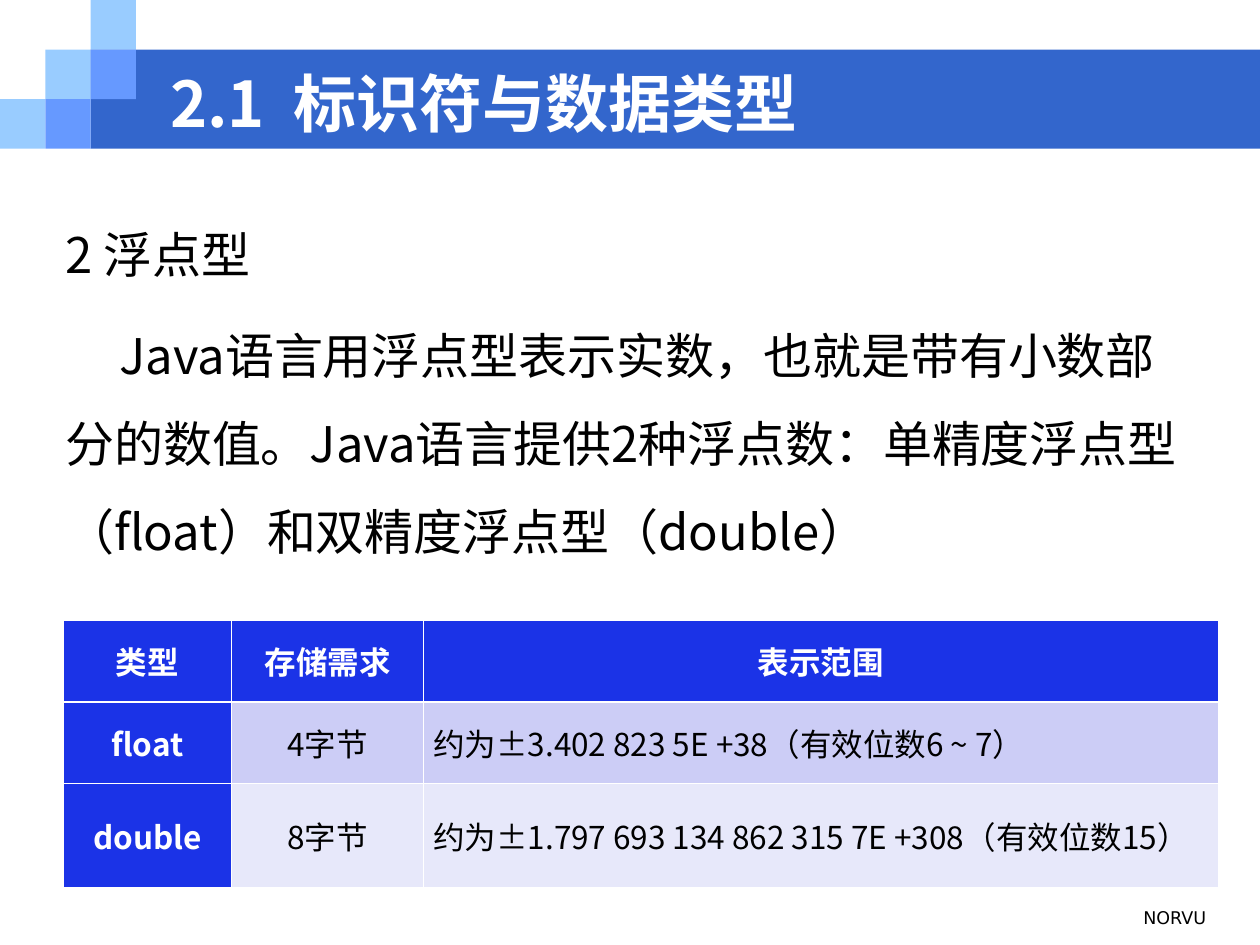
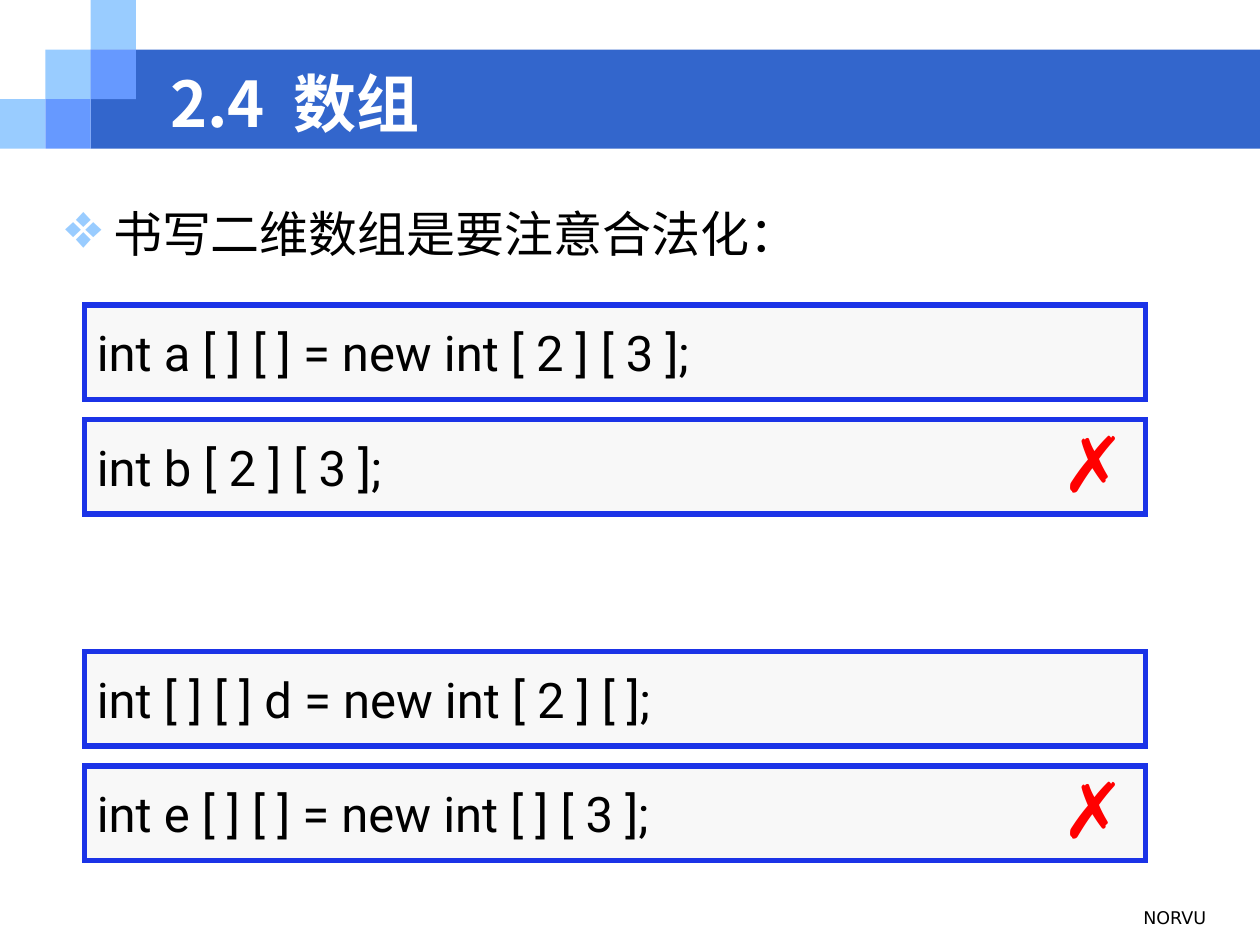
from dataclasses import dataclass

from lxml import etree
from pptx import Presentation
from pptx.dml.color import RGBColor
from pptx.enum.shapes import MSO_SHAPE
from pptx.enum.text import MSO_ANCHOR, PP_ALIGN
from pptx.oxml.ns import qn
from pptx.util import Inches, Pt

RECTANGLE = MSO_SHAPE.RECTANGLE
TOP, MIDDLE = MSO_ANCHOR.TOP, MSO_ANCHOR.MIDDLE
LEFT, CENTER, RIGHT, JUSTIFY = PP_ALIGN.LEFT, PP_ALIGN.CENTER, PP_ALIGN.RIGHT, PP_ALIGN.JUSTIFY
TITLE_ONLY = 5


@dataclass(frozen=True)
class Theme:
    band: str = "3366CC"
    light_tile: str = "99CCFF"
    middle_tile: str = "6699FF"
    accent: str = "1B33E7"
    row_tints: tuple = ("CCCDF6", "E7E8FA")
    code_fill: str = "F8F8F8"
    white: str = "FFFFFF"
    black: str = "000000"
    wrong: str = "FF0000"
    text_font: str = "Noto Sans CJK SC"
    code_font: str = "Roboto"
    footer_font: str = "DejaVu Sans"
    mark_font: str = "Arial"
    title_size: int = 36
    body_size: int = 28
    table_size: int = 18
    footer_size: int = 10
    mark_size: int = 44


THEME = Theme()


def rgb(value):
    return RGBColor.from_string(value)


def write(frame, text, *, size=THEME.body_size, font=THEME.text_font, color=THEME.black,
          bold=False, align=LEFT, anchor=TOP, wrap=True, line_spacing=None,
          space_before=0, first_indent=0, bullet=None, new_para=False):
    frame.word_wrap = wrap
    frame.vertical_anchor = anchor
    para = frame.add_paragraph() if new_para else frame.paragraphs[0]
    para.alignment = align
    para.space_before = Pt(space_before)
    if line_spacing:
        para.line_spacing = line_spacing
    props = para._p.get_or_add_pPr()
    if first_indent:
        props.set("indent", str(Inches(first_indent)))
    if bullet:
        props.set("marL", str(Inches(0.38)))
        props.set("indent", str(Inches(-0.38)))
        bullet_color = etree.SubElement(props, qn("a:buClr"))
        etree.SubElement(bullet_color, qn("a:srgbClr"), val=THEME.light_tile)
        etree.SubElement(props, qn("a:buSzPct"), val="130000")
        etree.SubElement(props, qn("a:buChar"), char=bullet)
    span = para.add_run()
    span.text = text
    span.font.size = Pt(size)
    span.font.name = font
    span.font.bold = bold
    span.font.color.rgb = rgb(color)
    etree.SubElement(span._r.get_or_add_rPr(), qn("a:ea"), typeface=font)


def add_box(page, box, fill, line=None, line_width=3):
    shape = page.shapes.add_shape(RECTANGLE, *map(Inches, box))
    shape.shadow.inherit = False
    shape.fill.solid()
    shape.fill.fore_color.rgb = rgb(fill)
    if line:
        shape.line.color.rgb = rgb(line)
        shape.line.width = Pt(line_width)
        outline = shape.element.spPr.find(qn("a:ln"))
        etree.SubElement(outline, qn("a:miter"), lim="800000")
    else:
        shape.line.fill.background()
    return shape


def add_text(page, box, text, **text_format):
    frame = page.shapes.add_textbox(*map(Inches, box)).text_frame
    write(frame, text, **text_format)
    return frame


def add_header(page, box, title):
    left, top, width, height = box
    tile_width, tile_height = 0.36, height / 3
    band_left, band_top = left + 2 * tile_width, top + tile_height
    add_box(page, (band_left, band_top, width - 2 * tile_width, 2 * tile_height), THEME.band)
    tiles = {
        THEME.light_tile: ((0, 2), (1, 1), (2, 0)),
        THEME.middle_tile: ((2, 1), (1, 2)),
    }
    for color, places in tiles.items():
        for column, row in places:
            add_box(page, (left + column * tile_width, top + row * tile_height,
                           tile_width, tile_height), color)
    holder = page.shapes.title
    holder.left, holder.top = Inches(left + 1.25), Inches(top + 0.55)
    holder.width, holder.height = Inches(8.08), Inches(0.53)
    write(holder.text_frame, title, size=THEME.title_size, color=THEME.white,
          bold=True, anchor=MIDDLE)
    page.shapes.element.append(holder.element)


def add_page(deck, title):
    page = deck.slides.add_slide(deck.slide_layouts[TITLE_ONLY])
    add_header(page, (0, 0, 10, 1.18), title)
    add_text(page, (6.5, 7.15, 3.17, 0.35), "NORVU", size=THEME.footer_size,
             font=THEME.footer_font, align=RIGHT)
    return page


def set_borders(cell, **widths):
    props = cell._tc.get_or_add_tcPr()
    for side in "LRTB":
        line = etree.SubElement(props, qn(f"a:ln{side}"), w=str(Pt(widths.get(side, 0.45))))
        fill = etree.SubElement(line, qn("a:solidFill"))
        etree.SubElement(fill, qn("a:srgbClr"), val=THEME.white)


def add_type_table(page, box, column_widths, row_heights, rows):
    table = page.shapes.add_table(len(rows), len(column_widths), *map(Inches, box)).table
    for column, width in zip(table.columns, column_widths):
        column.width = Inches(width)
    for row_index, values in enumerate(rows):
        table.rows[row_index].height = Inches(row_heights[row_index])
        for column_index, value in enumerate(values):
            cell = table.cell(row_index, column_index)
            heading = row_index == 0 or column_index == 0
            rule = {0: {"B": 1.47}, 1: {"T": 1.47}}.get(row_index, {})
            set_borders(cell, **rule)
            cell.fill.solid()
            cell.fill.fore_color.rgb = rgb(
                THEME.accent if heading else THEME.row_tints[row_index - 1])
            cell.margin_left = cell.margin_right = Inches(0.08)
            cell.vertical_anchor = MIDDLE
            write(cell.text_frame, value, size=THEME.table_size, bold=heading,
                  color=THEME.white if heading else THEME.black, anchor=MIDDLE,
                  align=CENTER if heading or column_index < 2 else JUSTIFY)


def add_code_line(page, box, code, wrong):
    left, top, width, height = box
    shape = add_box(page, box, THEME.code_fill, THEME.accent)
    write(shape.text_frame, code, font=THEME.code_font, anchor=MIDDLE, wrap=False)
    if wrong:
        add_text(page, (left + width - 0.76, top, 0.71, height), "✗",
                 size=THEME.mark_size, font=THEME.mark_font, color=THEME.wrong,
                 bold=True, line_spacing=0.9, space_before=27.5)


def build_float_page(deck):
    page = add_page(deck, "2.1  标识符与数据类型")
    body_format = {"line_spacing": 1.5, "space_before": 7}
    frame = add_text(page, (0.42, 1.5, 9.13, 3.3), "2 浮点型", **body_format)
    write(frame, "Java语言用浮点型表示实数，也就是带有小数部分的数值。Java语言提供2种浮点数："
          "单精度浮点型（float）和双精度浮点型（double）",
          new_para=True, first_indent=0.43, **body_format)
    add_type_table(page, (0.5, 4.92, 9.17, 2.12), (1.34, 1.52, 6.31), (0.65, 0.65, 0.82), (
        ("类型", "存储需求", "表示范围"),
        ("float", "4字节", "约为±3.402 823 5E +38（有效位数6 ~ 7）"),
        ("double", "8字节", "约为±1.797 693 134 862 315 7E +308（有效位数15）"),
    ))


def build_array_page(deck):
    page = add_page(deck, "2.4  数组")
    add_text(page, (0.42, 1.33, 9.33, 0.95), "书写二维数组是要注意合法化：",
             line_spacing=1.5, space_before=7, bullet="❖")
    code_pairs = {
        2.42: ("int a [ ] [ ] = new int [ 2 ] [ 3 ];", "int b [ 2 ] [ 3 ];"),
        5.17: ("int [ ] [ ] d = new int [ 2 ] [ ];", "int e [ ] [ ] = new int [ ] [ 3 ];"),
    }
    for top, (valid, invalid) in code_pairs.items():
        add_code_line(page, (0.67, top, 8.42, 0.75), valid, wrong=False)
        add_code_line(page, (0.67, top + 0.91, 8.42, 0.75), invalid, wrong=True)


def main():
    deck = Presentation()
    deck.slide_width, deck.slide_height = Inches(10), Inches(7.5)
    build_float_page(deck)
    build_array_page(deck)
    deck.save("out.pptx")


if __name__ == "__main__":
    main()
